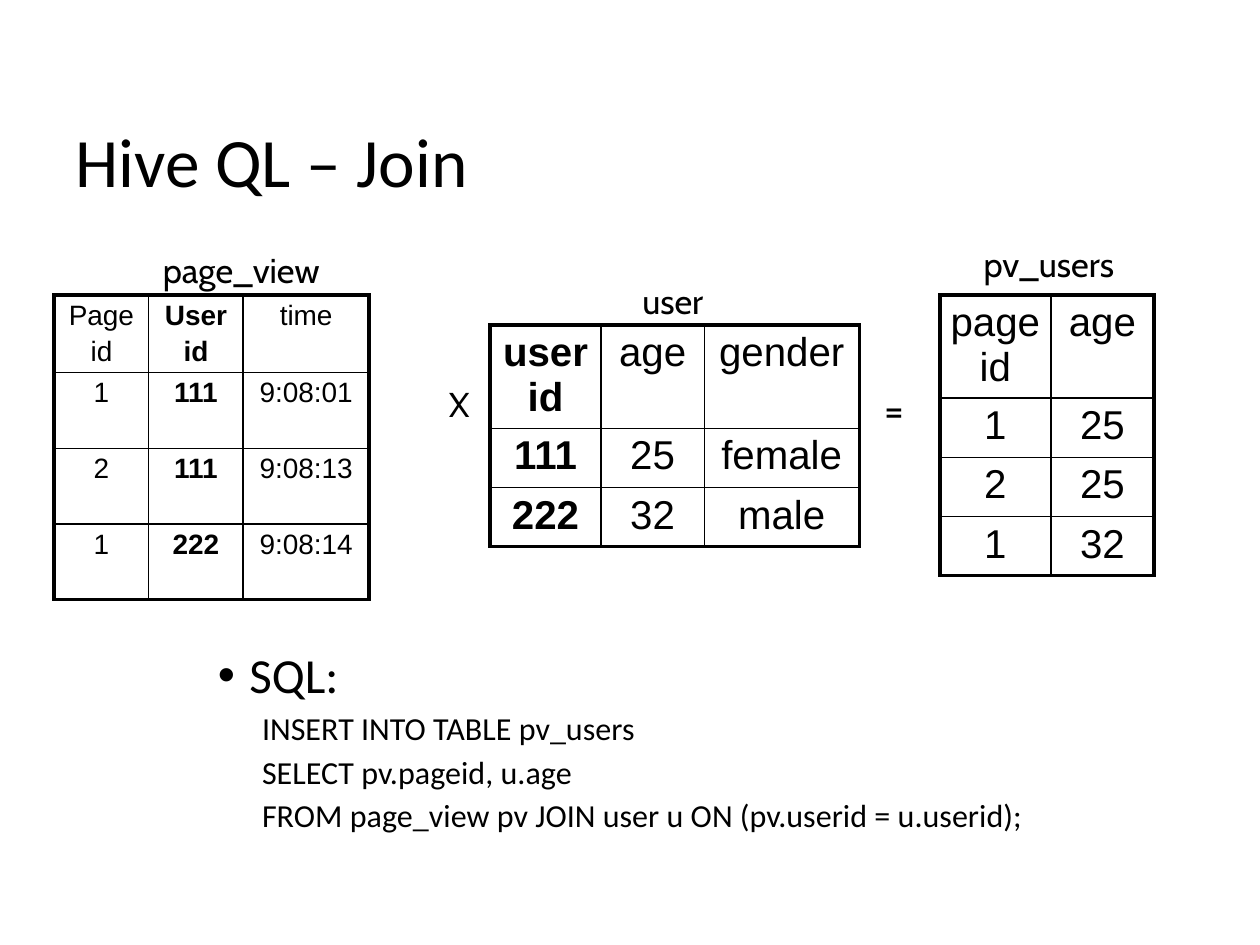
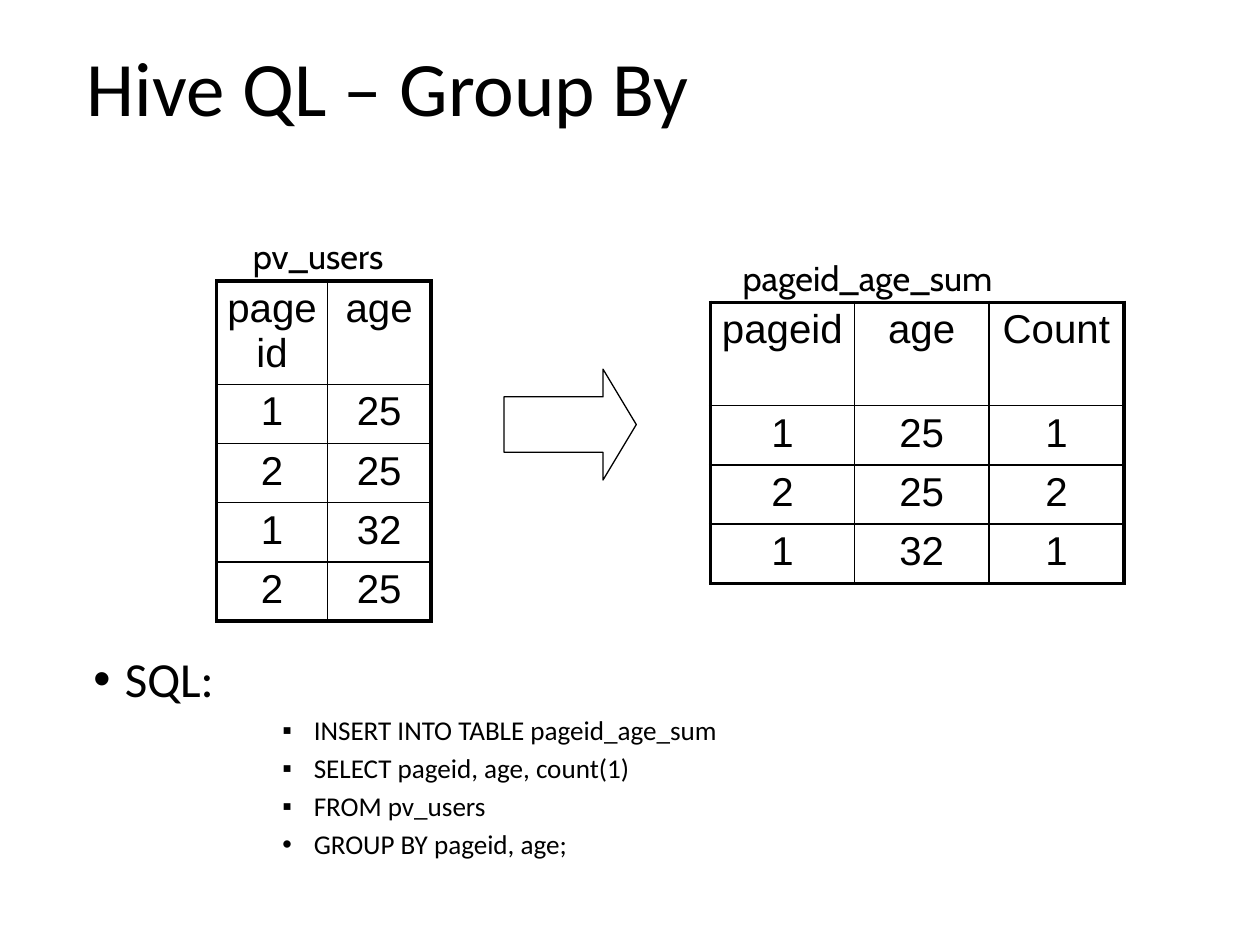
import pptx
import pptx.dml.color
import pptx.enum.shapes
import pptx.enum.text
import pptx.util
from lxml import etree
from pptx.util import Inches

BLACK, WHITE = "000000", "FFFFFF"
HEADING_FONT, TABLE_FONT, LABEL_FONT = "Calibri", "Arial", "Cabin"
OUTER_LINE, INNER_LINE = 2.25, 1
DRAWING = "http://schemas.openxmlformats.org/drawingml/2006/main"
ALIGN = pptx.enum.text.PP_ALIGN
HEADER_HEIGHT, ROW_HEIGHT = 0.82, 0.47

PV_USERS = [["pageid", "age"], ["1", "25"], ["2", "25"], ["1", "32"]]
PV_USERS_WIDTHS = [0.88, 0.82]


def color(value):
    """Turn a hex string into a colour."""
    return pptx.dml.color.RGBColor.from_string(value)


def style_paragraph(para, font, size, align=ALIGN.LEFT, bold=False):
    """Set the font and alignment of a paragraph."""
    para.alignment = align
    para.font.name = font
    para.font.size = pptx.util.Pt(size)
    para.font.bold = bold
    para.font.color.rgb = color(BLACK)


def clear_margins(frame):
    """Remove the insets of a text frame and let it wrap from the top."""
    frame.margin_left = frame.margin_top = frame.margin_right = frame.margin_bottom = 0
    frame.word_wrap = True
    frame.auto_size = pptx.enum.text.MSO_AUTO_SIZE.NONE
    frame.vertical_anchor = pptx.enum.text.MSO_ANCHOR.TOP


def add_titled_page(deck, text, box, size):
    """Add a title-only slide with its title in the given box."""
    page = deck.slides.add_slide(deck.slide_layouts[5])
    title = page.shapes.title
    title.left, title.top, title.width, title.height = map(Inches, box)
    clear_margins(title.text_frame)
    title.text_frame.text = text
    para = title.text_frame.paragraphs[0]
    para.line_spacing = 0.9
    style_paragraph(para, HEADING_FONT, size)
    return page


def add_label(page, text, box, size=19.7):
    """Add a centred label that does not wrap."""
    frame = page.shapes.add_textbox(*map(Inches, box)).text_frame
    frame.word_wrap = False
    frame.text = text
    style_paragraph(frame.paragraphs[0], LABEL_FONT, size, ALIGN.CENTER)


def set_bullet(para, indent, hanging, bullet):
    """Set the indent and the bullet character of a paragraph."""
    properties = para._p.get_or_add_pPr()
    properties.set("marL", str(Inches(indent)))
    properties.set("indent", str(-Inches(hanging)))
    if bullet:
        font = etree.SubElement(properties, f"{{{DRAWING}}}buFont")
        font.set("typeface", TABLE_FONT)
        etree.SubElement(properties, f"{{{DRAWING}}}buChar").set("char", bullet)
    else:
        etree.SubElement(properties, f"{{{DRAWING}}}buNone")


def add_query(page, box, lines, size, indent, hanging):
    """Add the SQL heading and its query lines, given as bullet and text."""
    frame = page.shapes.add_textbox(*map(Inches, box)).text_frame
    clear_margins(frame)
    heading = frame.paragraphs[0]
    heading.text = "SQL:"
    set_bullet(heading, 0.25, 0.25, "•")
    heading.line_spacing = 0.9
    style_paragraph(heading, HEADING_FONT, 28)
    for bullet, text in lines:
        para = frame.add_paragraph()
        para.text = text
        set_bullet(para, indent, hanging, bullet)
        para.line_spacing = 0.9
        para.space_before = pptx.util.Pt(5)
        style_paragraph(para, HEADING_FONT, size)


def set_borders(cell, edges):
    """Draw the cell borders; edges tells which sides are on the outside."""
    properties = cell._tc.get_or_add_tcPr()
    for side, is_outer in edges.items():
        line = etree.SubElement(properties, f"{{{DRAWING}}}ln{side}")
        line.set("w", str(pptx.util.Pt(OUTER_LINE if is_outer else INNER_LINE)))
        fill = etree.SubElement(line, f"{{{DRAWING}}}solidFill")
        etree.SubElement(fill, f"{{{DRAWING}}}srgbClr").set("val", BLACK)


def add_data_table(page, left, top, widths, rows, size=23, bold_column=None,
                   header_height=HEADER_HEIGHT, row_height=ROW_HEIGHT):
    """Add a boxed table with a heavy outline and thin inner lines."""
    heights = [header_height] + [row_height] * (len(rows) - 1)
    table = page.shapes.add_table(
        len(rows), len(widths), Inches(left), Inches(top),
        Inches(sum(widths)), Inches(sum(heights))).table
    table.first_row = table.horz_banding = False
    for column, width in zip(table.columns, widths):
        column.width = Inches(width)
    for row_index, texts in enumerate(rows):
        table.rows[row_index].height = Inches(heights[row_index])
        for column_index, text in enumerate(texts):
            cell = table.cell(row_index, column_index)
            cell.margin_left = cell.margin_right = Inches(0.07)
            cell.margin_top = cell.margin_bottom = Inches(0.04)
            set_borders(cell, {
                "L": column_index == 0, "R": column_index == len(widths) - 1,
                "T": row_index == 0, "B": row_index == len(rows) - 1})
            cell.fill.solid()
            cell.fill.fore_color.rgb = color(WHITE)
            cell.text_frame.text = text
            for position, para in enumerate(cell.text_frame.paragraphs):
                if position:
                    para.space_before = pptx.util.Pt(size * 0.2)
                style_paragraph(para, TABLE_FONT, size, ALIGN.CENTER,
                                column_index == bold_column)


def add_arrow(page, box):
    """Add the outlined arrow between two tables."""
    arrow = page.shapes.add_shape(
        pptx.enum.shapes.MSO_SHAPE.RIGHT_ARROW, *map(Inches, box))
    arrow.shadow.inherit = False
    arrow.adjustments[0], arrow.adjustments[1] = 0.5, 0.3
    arrow.fill.solid()
    arrow.fill.fore_color.rgb = color(WHITE)
    arrow.line.color.rgb = color(BLACK)
    arrow.line.width = pptx.util.Pt(0.75)


def build_join(deck):
    """Build the slide on joining two tables."""
    page = add_titled_page(deck, "Hive QL – Join", (0.6, 1.01, 8.05, 0.57), 39.6)
    add_query(page, (1.73, 5.17, 7.43, 2.06), [
        (None, "INSERT INTO TABLE pv_users"),
        (None, "SELECT pv.pageid, u.age"),
        (None, "FROM page_view pv JOIN user u ON (pv.userid = u.userid);"),
    ], 18.3, 0.57, 0.22)
    add_data_table(page, 0.43, 2.34, [0.75, 0.75, 1], [
        ["Page\nid", "User\nid", "time"],
        ["1", "111", "9:08:01"],
        ["2", "111", "9:08:13"],
        ["1", "222", "9:08:14"],
    ], size=16, bold_column=1, header_height=0.6, row_height=0.6)
    add_data_table(page, 3.89, 2.58, [0.88, 0.82, 1.23], [
        ["userid", "age", "gender"],
        ["111", "25", "female"],
        ["222", "32", "male"],
    ], bold_column=0)
    add_data_table(page, 7.46, 2.34, PV_USERS_WIDTHS, PV_USERS)
    add_label(page, "X", (3.45, 2.99, 0.39, 0.43))
    add_label(page, "=", (6.9, 3.01, 0.39, 0.48), 22.5)
    add_label(page, "page_view", (1.15, 1.93, 1.53, 0.43))
    add_label(page, "user", (4.97, 2.17, 0.74, 0.43))
    add_label(page, "pv_users", (7.66, 1.88, 1.33, 0.43))


def build_group_by(deck):
    """Build the slide on grouping the joined table."""
    page = add_titled_page(deck, "Hive QL – Group By", (0.69, 0.4, 8.62, 1.45), 44)
    add_query(page, (0.74, 5.2, 8.78, 2.17), [
        ("▪", "INSERT INTO TABLE pageid_age_sum"),
        ("▪", "SELECT pageid, age, count(1)"),
        ("▪", "FROM pv_users"),
        ("•", "GROUP BY pageid, age;"),
    ], 15.5, 1.75, 0.25)
    add_data_table(page, 1.72, 2.23, PV_USERS_WIDTHS, PV_USERS + [["2", "25"]])
    add_label(page, "pv_users", (1.86, 1.82, 1.33, 0.43))
    add_data_table(page, 5.64, 2.4, [1.14, 1.07, 1.07], [
        ["pageid", "age", "Count"],
        ["1", "25", "1"],
        ["2", "25", "2"],
        ["1", "32", "1"],
    ])
    add_label(page, "pageid_age_sum", (5.72, 1.99, 2.33, 0.43))
    add_arrow(page, (4, 2.93, 1.05, 0.88))


def main():
    """Build and save the deck."""
    deck = pptx.Presentation()
    deck.slide_width, deck.slide_height = Inches(10), Inches(7.5)
    build_join(deck)
    build_group_by(deck)
    deck.save("out.pptx")


if __name__ == "__main__":
    main()
